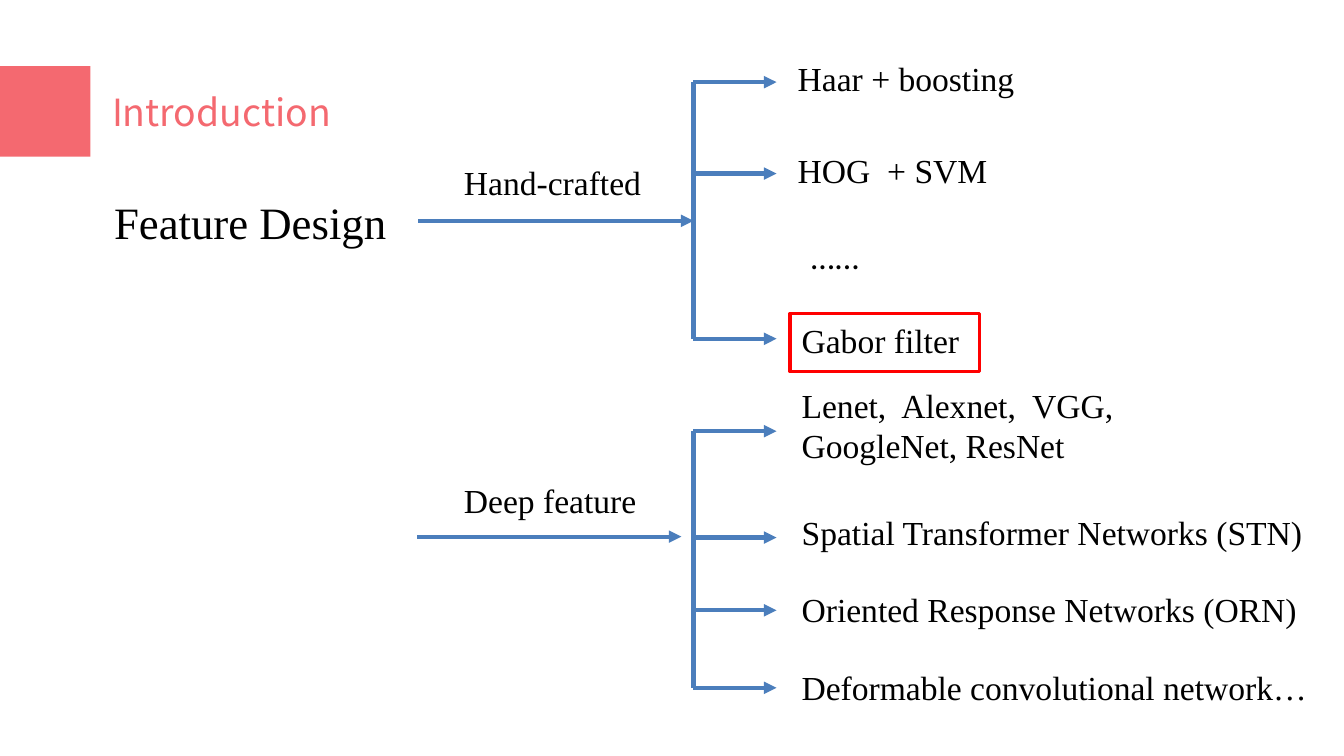
from lxml import etree
from pptx import Presentation
from pptx.dml.color import RGBColor
from pptx.enum import shapes, text
from pptx.oxml import ns
from pptx.util import Pt

CORAL = RGBColor(0xF4, 0x69, 0x70)
BLUE = RGBColor(0x4B, 0x7E, 0xBC)
RED = RGBColor(0xFF, 0x00, 0x00)
BLACK = RGBColor(0x00, 0x00, 0x00)


class Diagram:
    """Draws the elements of a branching diagram on one slide in one style."""

    body = {"name": "Times New Roman", "size": Pt(18)}
    line_width = Pt(2.25)

    def __init__(self, s):
        self.s = s

    def add_lines(self, tf, lines, color, fmt):
        for i, line in enumerate(lines):
            p = tf.paragraphs[0] if i == 0 else tf.add_paragraph()
            p.alignment = text.PP_ALIGN.LEFT
            r = p.add_run()
            r.text = line
            r.font.color.rgb = color
            for key, value in {**self.body, **fmt}.items():
                setattr(r.font, key, value)

    def title(self, words, x, y, w, h, **fmt):
        sp = self.s.shapes.title
        box = {"left": x, "top": y, "width": w, "height": h}
        for key, value in box.items():
            setattr(sp, key, Pt(value))
        tf = sp.text_frame
        tf.auto_size = text.MSO_AUTO_SIZE.NONE
        tf.vertical_anchor = text.MSO_ANCHOR.MIDDLE
        self.add_lines(tf, [words], CORAL, fmt)

    def label(self, lines, x, y, w, h=29, **fmt):
        sp = self.s.shapes.add_textbox(Pt(x), Pt(y), Pt(w), Pt(h))
        tf = sp.text_frame
        tf.word_wrap = True
        tf.auto_size = text.MSO_AUTO_SIZE.SHAPE_TO_FIT_TEXT
        self.add_lines(tf, lines, BLACK, fmt)

    def rect(self, x, y, w, h, fill=None, outline=None):
        sp = self.s.shapes.add_shape(
            shapes.MSO_SHAPE.RECTANGLE, Pt(x), Pt(y), Pt(w), Pt(h))
        sp.shadow.inherit = False
        if fill is None:
            sp.fill.background()
        else:
            sp.fill.solid()
            sp.fill.fore_color.rgb = fill
        if outline is None:
            sp.line.fill.background()
        else:
            sp.line.color.rgb = outline
            sp.line.width = Pt(2)

    def line(self, x1, y1, x2, y2, arrow=True):
        c = self.s.shapes.add_connector(
            shapes.MSO_CONNECTOR.STRAIGHT, Pt(x1), Pt(y1), Pt(x2), Pt(y2))
        c.line.color.rgb = BLUE
        c.line.width = self.line_width
        props = c.element.spPr
        if arrow:
            ln = props.find(ns.qn("a:ln"))
            etree.SubElement(ln, ns.qn("a:tailEnd"), type="triangle")
        etree.SubElement(props, ns.qn("a:effectLst"))

    def bracket(self, x, tip, ys):
        self.line(x, ys[0], x, ys[-1], arrow=False)
        for y in ys:
            self.line(x, y, tip, y)


def main():
    prs = Presentation()
    prs.slide_width, prs.slide_height = Pt(720), Pt(405)
    d = Diagram(prs.slides.add_slide(prs.slide_layouts[5]))

    d.rect(0, 35.5, 48.5, 48.5, fill=CORAL)
    d.title("Introduction", 52.8, 44, 148, 32,
            name="Noto Sans CJK SC", size=Pt(20))
    d.label(["Feature Design"], 54, 101, 187, 36, size=Pt(24))

    d.label(["Hand-crafted"], 241.5, 83, 119)
    d.line(224, 118.3, 371.5, 118.3)
    d.bracket(371.5, 416, [44, 93, 181.5])
    d.label(["Haar + boosting"], 420.3, 27.5, 235)
    d.label(["HOG  + SVM"], 420.3, 77, 235)
    d.label(["…..."], 427.5, 123, 91, name="Calibri")
    d.label(["Gabor filter"], 422.4, 168, 235)
    d.rect(423.3, 168, 101.5, 31, outline=RED)

    d.label(["Deep feature"], 241.5, 253.5, 119)
    d.line(223.4, 287.5, 365, 287.5)
    d.bracket(371.5, 416, [231, 288, 327, 368.5])
    d.label(["Lenet,  Alexnet,  VGG,", "GoogleNet, ResNet"],
            422.4, 202.5, 210, 51)
    networks = [
        ("Spatial Transformer Networks (STN)", 270.8),
        ("Oriented Response Networks (ORN)", 312),
        ("Deformable convolutional network…", 353.7),
    ]
    for name, y in networks:
        d.label([name], 422.4, y, 297)

    prs.save("out.pptx")


if __name__ == "__main__":
    main()
